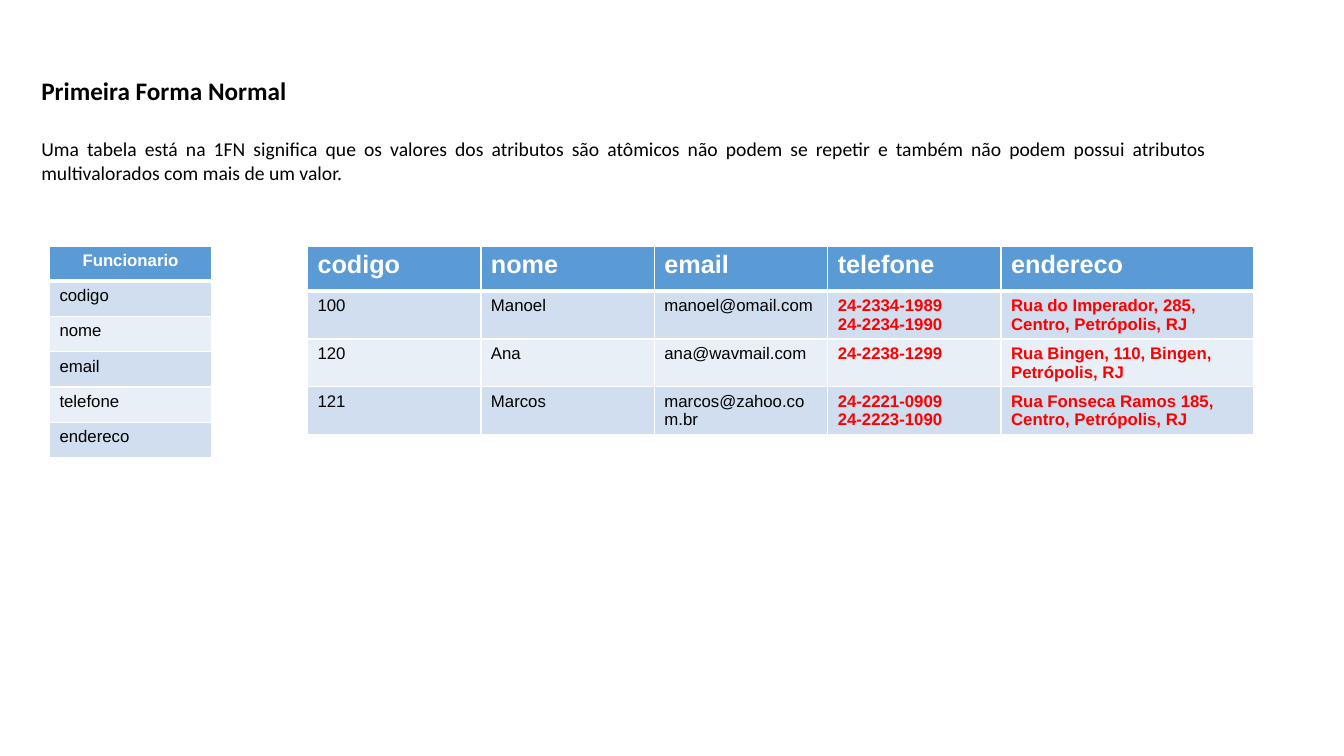
from lxml.etree import SubElement
from pptx import Presentation
from pptx.dml.color import RGBColor
from pptx.enum.text import MSO_ANCHOR, MSO_AUTO_SIZE, PP_ALIGN
from pptx.oxml.ns import qn
from pptx.util import Inches, Pt

TITLE = "Primeira Forma Normal"
BODY = (
    "Uma tabela está na 1FN significa que os valores dos atributos são atômicos "
    "não podem se repetir e também não podem possui atributos multivalorados "
    "com mais de um valor."
)
FIELDS = ["codigo", "nome", "email", "telefone", "endereco"]
PEOPLE = [
    ("100", "Manoel", "manoel@omail.com", "24-2334-1989\n24-2234-1990",
     "Rua do Imperador, 285, Centro, Petrópolis, RJ"),
    ("120", "Ana", "ana@wavmail.com", "24-2238-1299",
     "Rua Bingen, 110, Bingen, Petrópolis, RJ"),
    ("121", "Marcos", "marcos@zahoo.com.br", "24-2221-0909\n24-2223-1090",
     "Rua Fonseca Ramos 185, Centro, Petrópolis, RJ"),
]
SCHEMA = [["Funcionario"]] + [[field] for field in FIELDS]
RECORDS = [FIELDS] + PEOPLE
HEAD, BANDS = "5B9BD5", ("E9EFF7", "D0DEEF")
WHITE, BLACK, RED = "FFFFFF", "000000", "FF0000"
TOP = 2.44


def color(code):
    return RGBColor.from_string(code)


def style(frame, size, font, code, bold, align):
    for para in frame.paragraphs:
        para.alignment = align
        para.space_before = Pt(0)
        for run in para.runs:
            run.font.size = Pt(size)
            run.font.name = font
            run.font.bold = bold
            run.font.color.rgb = color(code)


def place(holder, text, top, high, size, bold):
    holder.left, holder.top = Inches(0.31), Inches(top)
    holder.width, holder.height = Inches(11.76), Inches(high)
    frame = holder.text_frame
    frame.text = text
    frame.word_wrap = True
    frame.auto_size = MSO_AUTO_SIZE.NONE
    frame.vertical_anchor = MSO_ANCHOR.TOP
    style(frame, size, "Calibri", BLACK, bold, PP_ALIGN.JUSTIFY)
    props = frame.paragraphs[0]._p.get_or_add_pPr()
    props.set("marL", "0")
    props.set("indent", "0")
    SubElement(props, qn("a:buNone"))


def border(cell, row):
    props = cell._tc.get_or_add_tcPr()
    widths = {"L": 1, "R": 1, "T": 3 if row == 1 else 1, "B": 3 if row == 0 else 1}
    for side, width in widths.items():
        line = SubElement(props, qn(f"a:ln{side}"), w=str(Pt(width)))
        fill = SubElement(line, qn("a:solidFill"))
        SubElement(fill, qn("a:srgbClr"), val=WHITE)


def grid(slide, data, left, widths, high, size, align):
    shape = slide.shapes.add_table(
        len(data), len(widths), Inches(left), Inches(TOP),
        Inches(sum(widths)), Inches(high * len(data)))
    table = shape.table
    for col, width in zip(table.columns, widths):
        col.width = Inches(width)
    for r, values in enumerate(data):
        for c, value in enumerate(values):
            cell = table.cell(r, c)
            cell.text = value
            border(cell, r)
            cell.fill.solid()
            cell.fill.fore_color.rgb = color(BANDS[r % 2] if r else HEAD)
            if r == 0:
                style(cell.text_frame, size, "Arial", WHITE, True, align)
            else:
                hot = c >= 3
                style(cell.text_frame, 12, "Arial", RED if hot else BLACK,
                      hot, PP_ALIGN.LEFT)


def main():
    deck = Presentation()
    deck.slide_width, deck.slide_height = Inches(13.33), Inches(7.5)
    slide = deck.slides.add_slide(deck.slide_layouts[1])
    place(slide.shapes.title, TITLE, 0.7, 0.4, 18, True)
    place(slide.placeholders[1], BODY, 1.31, 0.57, 14, False)
    grid(slide, SCHEMA, 0.49, [1.61], 0.35, 12, PP_ALIGN.CENTER)
    grid(slide, RECORDS, 3.05, [1.72] * 4 + [2.5], 0.45, 18, PP_ALIGN.LEFT)
    deck.save("out.pptx")


if __name__ == "__main__":
    main()
